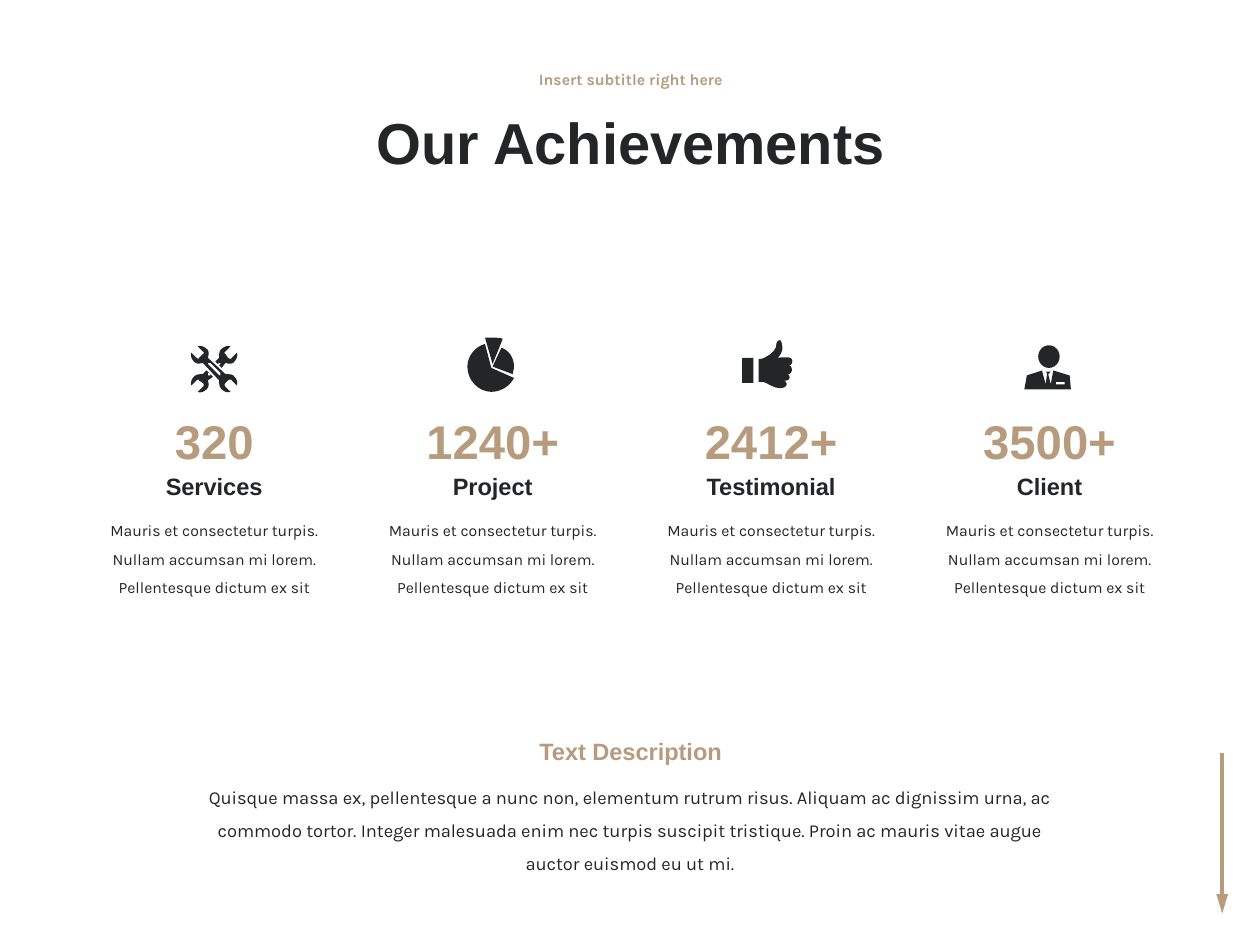
from dataclasses import dataclass

from lxml.etree import SubElement
from pptx import Presentation
from pptx.dml.color import RGBColor
from pptx.enum.shapes import MSO_CONNECTOR, MSO_SHAPE
from pptx.enum.text import MSO_ANCHOR, MSO_AUTO_SIZE, PP_ALIGN
from pptx.oxml.ns import qn
from pptx.util import Inches, Pt

DARK = RGBColor(0x24, 0x25, 0x27)
TAN = RGBColor(0xB6, 0x9B, 0x7D)
HEAD, BODY = "Arial", "Karla"

FIRST_CENTER, COLUMN_STEP = 1.7, 2.21
BLURB = "Mauris et consectetur turpis. Nullam accumsan mi lorem. Pellentesque dictum ex sit"
DESCRIPTION = (
    "Quisque massa ex, pellentesque a nunc non, elementum rutrum risus. "
    "Aliquam ac dignissim urna, ac commodo tortor. Integer malesuada enim nec "
    "turpis suscipit tristique. Proin ac mauris vitae augue auctor euismod eu ut mi."
)


@dataclass(frozen=True)
class Preset:
    kind: MSO_SHAPE
    box: tuple[float, float, float, float]


@dataclass(frozen=True)
class Achievement:
    number: str
    label: str
    outlines: tuple[str, ...]  # M, L and C commands in inches
    preset: Preset | None = None
    number_width: float = 1.76
    label_width: float = 1.4


WRENCHES = (
    "M 1.73,2.89 L 1.74,2.88 1.75,2.88 1.75,2.89 1.74,2.9 1.76,2.92 1.79,2.88 "
    "C 1.82,2.89 1.85,2.89 1.86,2.87 1.88,2.85 1.89,2.82 1.88,2.8 L 1.84,2.84 "
    "C 1.84,2.85 1.82,2.85 1.81,2.84 L 1.79,2.81 C 1.78,2.81 1.78,2.79 1.79,2.79 "
    "L 1.83,2.75 C 1.81,2.74 1.78,2.75 1.76,2.77 1.74,2.78 1.74,2.81 1.74,2.84 L 1.71,2.87",
    "M 1.67,2.97 L 1.67,2.98 1.65,2.98 1.65,2.96 1.66,2.96 1.64,2.94 1.61,2.97 "
    "C 1.58,2.97 1.56,2.97 1.54,2.99 1.52,3.01 1.51,3.04 1.52,3.06 L 1.56,3.02 "
    "C 1.57,3.01 1.58,3.01 1.58,3.02 L 1.61,3.04 C 1.62,3.05 1.62,3.06 1.61,3.07 "
    "L 1.57,3.11 C 1.59,3.12 1.62,3.11 1.64,3.09 1.66,3.07 1.66,3.05 1.65,3.02 L 1.69,2.99",
    "M 1.86,2.99 C 1.85,2.97 1.82,2.97 1.79,2.97 L 1.65,2.84 "
    "C 1.66,2.81 1.66,2.78 1.64,2.77 1.62,2.75 1.59,2.74 1.57,2.75 L 1.61,2.79 "
    "C 1.62,2.79 1.62,2.81 1.61,2.81 L 1.58,2.84 C 1.58,2.85 1.57,2.85 1.56,2.84 "
    "L 1.52,2.8 C 1.51,2.82 1.52,2.85 1.54,2.87 1.56,2.89 1.58,2.89 1.61,2.88 "
    "L 1.74,3.02 C 1.74,3.05 1.74,3.07 1.76,3.09 1.78,3.11 1.81,3.12 1.83,3.11 "
    "L 1.79,3.07 C 1.78,3.06 1.78,3.05 1.79,3.04 L 1.81,3.02 "
    "C 1.82,3.01 1.84,3.01 1.84,3.02 L 1.88,3.06 C 1.89,3.04 1.88,3.01 1.86,2.99 "
    "M 1.75,2.98 L 1.74,2.98 1.65,2.89 1.65,2.88 1.67,2.88 1.75,2.96",
)
PIE = (
    "M 3.91,2.91 L 4.07,2.97 C 4.07,2.96 4.08,2.93 4.08,2.91 4.08,2.84 4.04,2.78 3.98,2.76",
    "M 3.9,2.92 L 3.85,2.73 C 3.77,2.75 3.71,2.83 3.71,2.91 3.71,3.02 3.8,3.11 3.9,3.11 "
    "3.98,3.11 4.05,3.06 4.08,3",
    "M 3.91,2.89 L 3.99,2.69 C 3.97,2.68 3.94,2.68 3.9,2.68 3.89,2.68 3.87,2.68 3.85,2.68",
)
THUMB = (
    "M 6.27,2.84 C 6.25,2.83 6.17,2.84 6.17,2.84 6.19,2.83 6.21,2.78 6.21,2.77 "
    "6.21,2.74 6.2,2.7 6.19,2.7 6.16,2.7 6.16,2.74 6.16,2.75 "
    "6.15,2.78 6.12,2.81 6.1,2.82 6.08,2.83 6.06,2.85 6.02,2.85 L 6.02,3.03 "
    "C 6.04,3.03 6.06,3.03 6.08,3.04 6.12,3.06 6.15,3.08 6.19,3.08 "
    "6.26,3.08 6.25,3.03 6.22,3.02 6.27,3.03 6.28,2.98 6.25,2.97 "
    "6.3,2.97 6.29,2.9 6.26,2.9 6.29,2.9 6.3,2.85 6.27,2.84",
)
SUIT = (
    "M 8.49,2.98 L 8.36,2.94 8.34,3.05 8.32,2.97 8.33,2.96 8.34,2.95 8.3,2.95 "
    "8.31,2.96 8.31,2.97 8.3,3.05 8.27,2.94 8.15,2.98 8.13,3.09 8.5,3.09 "
    "M 8.45,3.05 L 8.38,3.05 8.38,3.03 8.45,3.03",
)

ACHIEVEMENTS = (
    Achievement("320", "Services", WRENCHES, number_width=1.52),
    Achievement("1240+", "Project", PIE),
    Achievement("2412+", "Testimonial", THUMB,
                Preset(MSO_SHAPE.RECTANGLE, (5.89, 2.84, 0.09, 0.2)), label_width=1.83),
    Achievement("3500+", "Client", SUIT,
                Preset(MSO_SHAPE.OVAL, (8.24, 2.74, 0.17, 0.18))),
)


def format_text(sp, text: str, *, size: float, color: RGBColor = DARK, font: str = HEAD,
                bold: bool = True, spacing: float = 1.0, anchor=MSO_ANCHOR.TOP,
                fit=MSO_AUTO_SIZE.SHAPE_TO_FIT_TEXT) -> None:
    tf = sp.text_frame
    tf.word_wrap, tf.auto_size, tf.vertical_anchor = True, fit, anchor
    p = tf.paragraphs[0]
    p.alignment, p.line_spacing = PP_ALIGN.CENTER, spacing
    r = p.add_run()
    r.text = text
    r.font.name, r.font.size, r.font.bold = font, Pt(size), bold
    r.font.color.rgb = color


def add_text(s, box: tuple, text: str, **style) -> None:
    format_text(s.shapes.add_textbox(*map(Inches, box)), text, **style)


def contours(outline: str) -> list[list[tuple[float, float]]]:
    """Turn an outline into point lists, sampling its cubic curves."""
    result, mode, controls = [], "", []
    for token in outline.split():
        if token in ("M", "L", "C"):
            mode = token
            continue
        x, y = map(float, token.split(","))
        if mode == "M":
            result.append([(x, y)])
        elif mode == "L":
            result[-1].append((x, y))
        else:
            controls.append((x, y))
            if len(controls) == 3:
                curve = [result[-1][-1], *controls]
                for t in (i / 8 for i in range(1, 9)):
                    weights = ((1 - t) ** 3, 3 * t * (1 - t) ** 2, 3 * t * t * (1 - t), t ** 3)
                    result[-1].append(tuple(
                        sum(w * c[axis] for w, c in zip(weights, curve)) for axis in (0, 1)))
                controls = []
    return result


def fill_dark(sp) -> None:
    sp.shadow.inherit = False
    sp.fill.solid()
    sp.fill.fore_color.rgb = DARK
    sp.line.fill.background()


def add_icon(s, item: Achievement) -> None:
    shapes = s.shapes.add_group_shape().shapes
    for outline in item.outlines:
        builder = None
        for contour in contours(outline):
            start, *rest = [(Inches(x), Inches(y)) for x, y in contour]
            if builder is None:
                builder = shapes.build_freeform(*start)
            else:
                builder.move_to(*start)
            builder.add_line_segments(rest, close=True)
        fill_dark(builder.convert_to_shape())
    if item.preset:
        fill_dark(shapes.add_shape(item.preset.kind, *map(Inches, item.preset.box)))


def add_achievement(s, item: Achievement, center: float) -> None:
    add_icon(s, item)
    for text, top, width, height, style in (
        (item.label, 3.7, item.label_width, 0.33, dict(size=13.5)),
        (item.number, 3.22, item.number_width, 0.56, dict(size=27, color=TAN)),
        (BLURB, 4.01, 1.96, 0.76, dict(size=9, font=BODY, bold=False, spacing=1.5)),
    ):
        add_text(s, (center - width / 2, top, width, height), text, **style)


def add_arrow(s, x: float, top: float, bottom: float) -> None:
    arrow = s.shapes.add_connector(
        MSO_CONNECTOR.STRAIGHT, Inches(x), Inches(top), Inches(x), Inches(bottom))
    arrow.line.color.rgb, arrow.line.width = TAN, Pt(2.25)
    SubElement(arrow.line._get_or_add_ln(), qn("a:tailEnd"), type="triangle", w="med", len="lg")
    SubElement(arrow._element.spPr, qn("a:effectLst"))


def main() -> None:
    prs = Presentation()
    prs.slide_width, prs.slide_height = Inches(10), Inches(7.5)
    s = prs.slides.add_slide(prs.slide_layouts[5])

    # Arrow in the corner
    add_arrow(s, 9.7, 5.98, 7.25)

    # Title and subtitle
    title = s.shapes.title
    title.left, title.top, title.width, title.height = map(Inches, (2.19, 0.64, 5.63, 1.03))
    heading = dict(spacing=0.9, anchor=MSO_ANCHOR.MIDDLE, fit=MSO_AUTO_SIZE.NONE)
    format_text(title, "Our Achievements", size=33, **heading)
    add_text(s, (2.19, 0.45, 5.63, 0.38), "Insert subtitle right here",
             size=9, color=TAN, font=BODY, **heading)

    # Four columns
    for i, item in enumerate(ACHIEVEMENTS):
        add_achievement(s, item, FIRST_CENTER + i * COLUMN_STEP)

    # Description
    add_text(s, (1.44, 6.1, 7.12, 0.6), DESCRIPTION,
             size=10.5, font=BODY, bold=False, spacing=1.5)
    add_text(s, (3.91, 5.8, 2.19, 0.33), "Text Description", size=13.5, color=TAN)

    prs.save("out.pptx")


if __name__ == "__main__":
    main()
